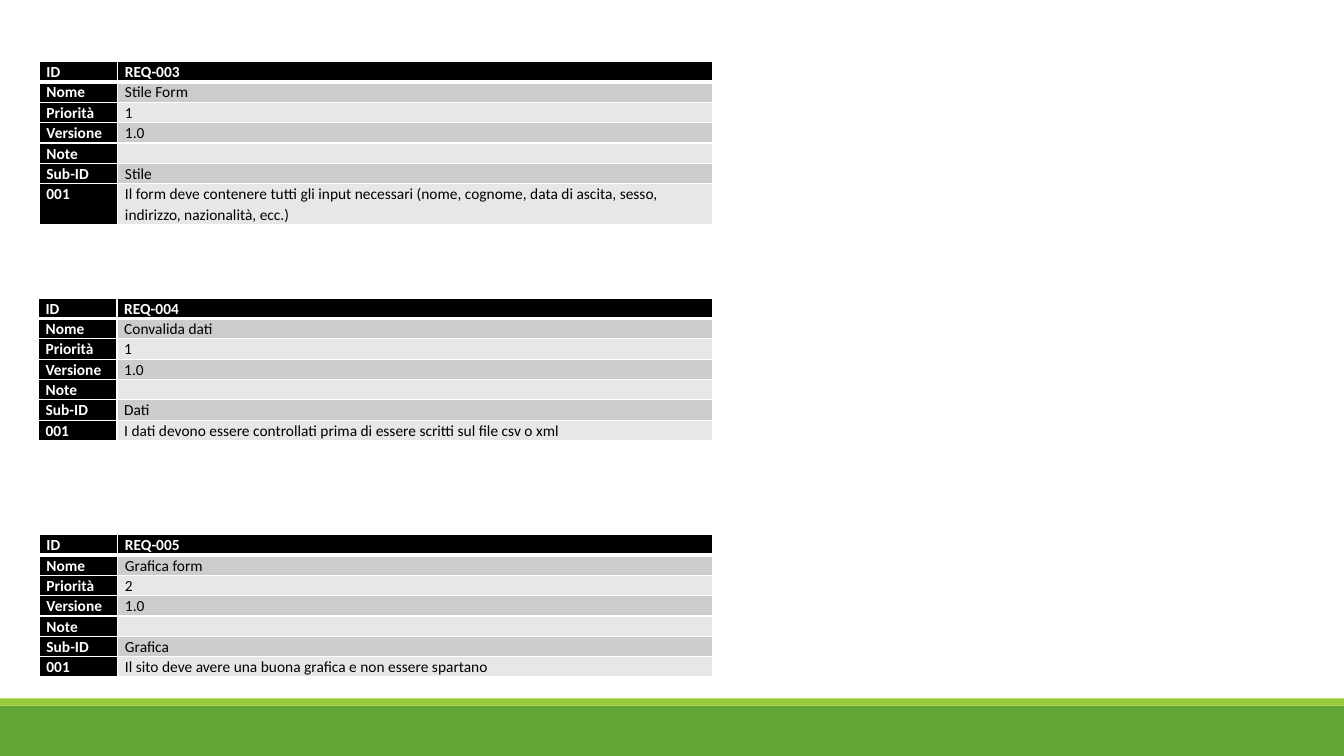
from dataclasses import dataclass

from lxml import etree
from pptx import Presentation
from pptx import util as u
from pptx.dml.color import RGBColor
from pptx.enum import shapes
from pptx.oxml import ns

BLACK, WHITE = "000000", "FFFFFF"
BAND_FILLS = ("E7E7E7", "CCCCCC")  # even rows, odd rows
LABELS = ("ID", "Nome", "Priorità", "Versione", "Note", "Sub-ID", "001")
COLUMN_WIDTHS = (1.98, 15.0)
ROW_HEIGHT = 0.51
FIRST_TOP, TABLE_STEP = 1.55, 5.96


@dataclass
class Requirement:
    code: str
    name: str
    priority: str
    category: str
    description: str
    left: float = 0.99
    description_lines: int = 1

    def values(self) -> tuple:
        return (self.code, self.name, self.priority, "1.0", "",
                self.category, self.description)


@dataclass
class FooterBand:
    top: float
    height: float
    fill: str


REQUIREMENTS = (
    Requirement("REQ-003", "Stile Form", "1", "Stile",
                "Il form deve contenere tutti gli input necessari (nome, cognome, "
                "data di ascita, sesso, indirizzo, nazionalità, ecc.)",
                description_lines=2),
    Requirement("REQ-004", "Convalida dati", "1", "Dati",
                "I dati devono essere controllati prima di essere scritti "
                "sul file csv o xml", left=0.97),
    Requirement("REQ-005", "Grafica form", "2", "Grafica",
                "Il sito deve avere una buona grafica e non essere spartano"),
)
FOOTER_BANDS = (FooterBand(17.78, 1.27, "63A537"), FooterBand(17.6, 0.18, "99CB38"))


def set_fill(target, colour: str) -> None:
    target.fill.solid()
    target.fill.fore_color.rgb = RGBColor.from_string(colour)


def set_borders(cell, row: int) -> None:
    """White 1 pt borders, with a 3 pt rule under the header row."""
    properties = cell._tc.get_or_add_tcPr()
    widths = {"lnL": 1, "lnR": 1, "lnT": 3 if row == 1 else 1, "lnB": 3 if row == 0 else 1}
    for tag, points in widths.items():
        line = etree.SubElement(properties, ns.qn(f"a:{tag}"), w=str(u.Pt(points)))
        fill = etree.SubElement(line, ns.qn("a:solidFill"))
        etree.SubElement(fill, ns.qn("a:srgbClr"), val=WHITE)


def fill_cell(cell, content: str, row: int, is_heading: bool) -> None:
    set_borders(cell, row)
    set_fill(cell, BLACK if is_heading else BAND_FILLS[row % 2])
    cell.margin_left = cell.margin_right = u.Cm(0.18)
    cell.margin_top = cell.margin_bottom = u.Cm(0)
    cell.text = content
    paragraph = cell.text_frame.paragraphs[0]
    paragraph.line_spacing = 1.07
    font = paragraph.font
    font.name, font.size, font.bold = "Calibri", u.Pt(11), is_heading
    font.color.rgb = RGBColor.from_string(WHITE if is_heading else BLACK)
    if not content:  # an empty cell takes its line height from the end mark
        etree.SubElement(paragraph._p, ns.qn("a:endParaRPr"), sz="1100")


def draw_requirement(slide, requirement: Requirement, top: float) -> None:
    heights = [ROW_HEIGHT] * len(LABELS)
    heights[-1] *= requirement.description_lines
    table = slide.shapes.add_table(
        len(LABELS), len(COLUMN_WIDTHS), u.Cm(requirement.left), u.Cm(top),
        u.Cm(sum(COLUMN_WIDTHS)), u.Cm(sum(heights))).table
    table.first_col = True
    for column, width in zip(table.columns, COLUMN_WIDTHS):
        column.width = u.Cm(width)
    for row, height in enumerate(heights):
        table.rows[row].height = u.Cm(height)
    for row, (label, value) in enumerate(zip(LABELS, requirement.values())):
        fill_cell(table.cell(row, 0), label, row, True)
        fill_cell(table.cell(row, 1), value, row, row == 0)


def draw_footer_band(slide, band: FooterBand, width: int) -> None:
    shape = slide.shapes.add_shape(shapes.MSO_SHAPE.RECTANGLE, 0, u.Cm(band.top),
                                   width, u.Cm(band.height))
    shape.shadow.inherit = False
    set_fill(shape, band.fill)
    shape.line.fill.background()


presentation = Presentation()
presentation.slide_width, presentation.slide_height = u.Cm(33.87), u.Cm(19.05)
slide = presentation.slides.add_slide(presentation.slide_layouts[6])

# Footer
for band in FOOTER_BANDS:
    draw_footer_band(slide, band, presentation.slide_width)

# Requirement tables, evenly spaced
for index, requirement in enumerate(REQUIREMENTS):
    draw_requirement(slide, requirement, FIRST_TOP + index * TABLE_STEP)

presentation.save("out.pptx")
